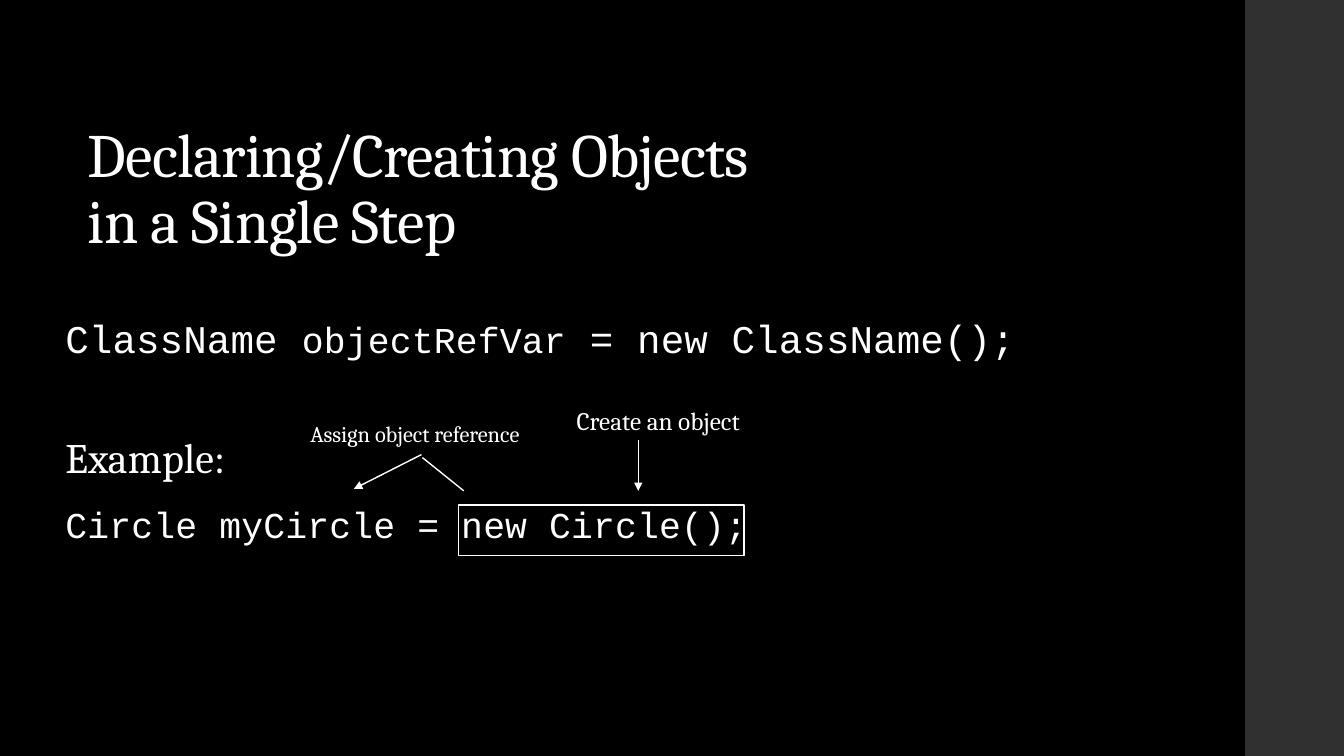
from pptx import Presentation
from pptx.dml.color import RGBColor
from pptx.enum.shapes import MSO_CONNECTOR as Connector, MSO_SHAPE as Shape
from pptx.enum.text import MSO_ANCHOR as Anchor, MSO_AUTO_SIZE as AutoSize, PP_ALIGN as Align
from pptx.oxml.ns import qn
from pptx.util import Inches, Pt
from lxml.etree import SubElement

COLORS = {"background": "000000", "band": "303030", "ink": "FFFFFF"}
SERIF = "Cambria"
MONO = "Courier New"


def color(name):
    return RGBColor.from_string(COLORS[name])


def place(shape, left, top, width, height):
    shape.left, shape.top = Inches(left), Inches(top)
    shape.width, shape.height = Inches(width), Inches(height)


def write(paragraph, text, font=SERIF, size=18, spacing=0):
    for index, line in enumerate(text.split("\n")):
        if index:
            paragraph.add_line_break()
        run = paragraph.add_run()
        run.text = line
        run.font.name = font
        run.font.size = Pt(size)
        run.font.color.rgb = color("ink")
        if spacing:
            run.font._element.set("spc", str(round(spacing * 100)))


def add_title(slide, text):
    title = slide.shapes.title
    place(title, 0.77, 0.85, 8.5, 1.75)
    frame = title.text_frame
    frame.auto_size = AutoSize.NONE
    frame.vertical_anchor = Anchor.BOTTOM
    paragraph = frame.paragraphs[0]
    paragraph.alignment = Align.LEFT
    paragraph.line_spacing = 0.9
    write(paragraph, text, size=44, spacing=-0.5)


def add_text_frame(slide, *position):
    box = slide.shapes.add_textbox(*map(Inches, position))
    box.text_frame.word_wrap = True
    return box.text_frame


def add_body(slide, lines):
    frame = add_text_frame(slide, 0.55, 3.1, 10.83, 2.83)
    for index, (space_before, runs) in enumerate(lines):
        paragraph = frame.add_paragraph() if index else frame.paragraphs[0]
        paragraph.line_spacing = 0.95
        paragraph.space_before = Pt(space_before)
        paragraph.space_after = Pt(2)
        for text, font, size in runs:
            write(paragraph, text, font=font, size=size, spacing=0.1)


def add_label(slide, position, text, size):
    write(add_text_frame(slide, *position).paragraphs[0], text, size=size)


def add_rectangle(slide, position, fill=None, line=None):
    shape = slide.shapes.add_shape(Shape.RECTANGLE, *map(Inches, position))
    shape.shadow.inherit = False
    if fill:
        shape.fill.solid()
        shape.fill.fore_color.rgb = color(fill)
    else:
        shape.fill.background()
    if line:
        shape.line.color.rgb = color(line)
        shape.line.width = Pt(1)
    else:
        shape.line.fill.background()


def add_line(slide, start, end, arrow=False):
    line = slide.shapes.add_connector(Connector.STRAIGHT, *map(Inches, start + end))
    line.line.color.rgb = color("ink")
    line.line.width = Pt(1)
    if arrow:
        SubElement(line.line._get_or_add_ln(), qn("a:tailEnd"), type="triangle")
    SubElement(line._element.spPr, qn("a:effectLst"))


def main():
    presentation = Presentation()
    presentation.slide_width, presentation.slide_height = Inches(13.33), Inches(7.5)
    slide = presentation.slides.add_slide(presentation.slide_layouts.get_by_name("Title Only"))
    slide.background.fill.solid()
    slide.background.fill.fore_color.rgb = color("background")

    add_rectangle(slide, (12.35, 0, 0.98, 7.5), fill="band")
    add_title(slide, "Declaring/Creating Objects\nin a Single Step")
    add_body(slide, [
        (14, [("ClassName ", MONO, 28), ("objectRefVar", MONO, 26),
              (" = new ClassName();", MONO, 28)]),
        (50, [("Example:", SERIF, 30)]),
        (14, [("Circle myCircle = new Circle();", MONO, 26)]),
    ])
    add_rectangle(slide, (4.55, 5.01, 2.83, 0.5), line="ink")
    add_label(slide, (5.62, 3.97, 2.1, 0.4), "Create an object", 18)
    add_line(slide, (6.33, 4.37), (6.33, 4.87), arrow=True)
    add_label(slide, (2.98, 4.12, 2.66, 0.4), "Assign object reference", 16)
    add_line(slide, (4.6, 4.87), (4.19, 4.54))
    add_line(slide, (4.18, 4.51), (3.51, 4.85), arrow=True)
    presentation.save("out.pptx")


if __name__ == "__main__":
    main()
